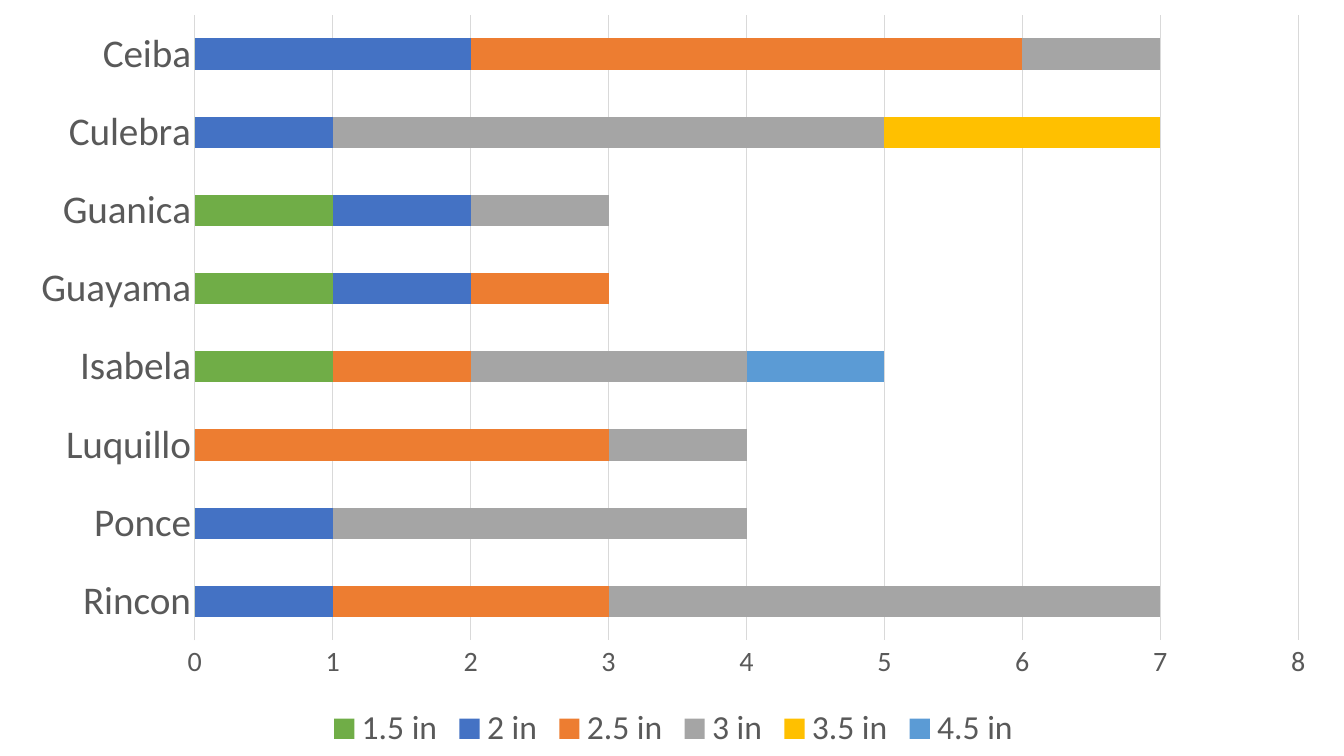
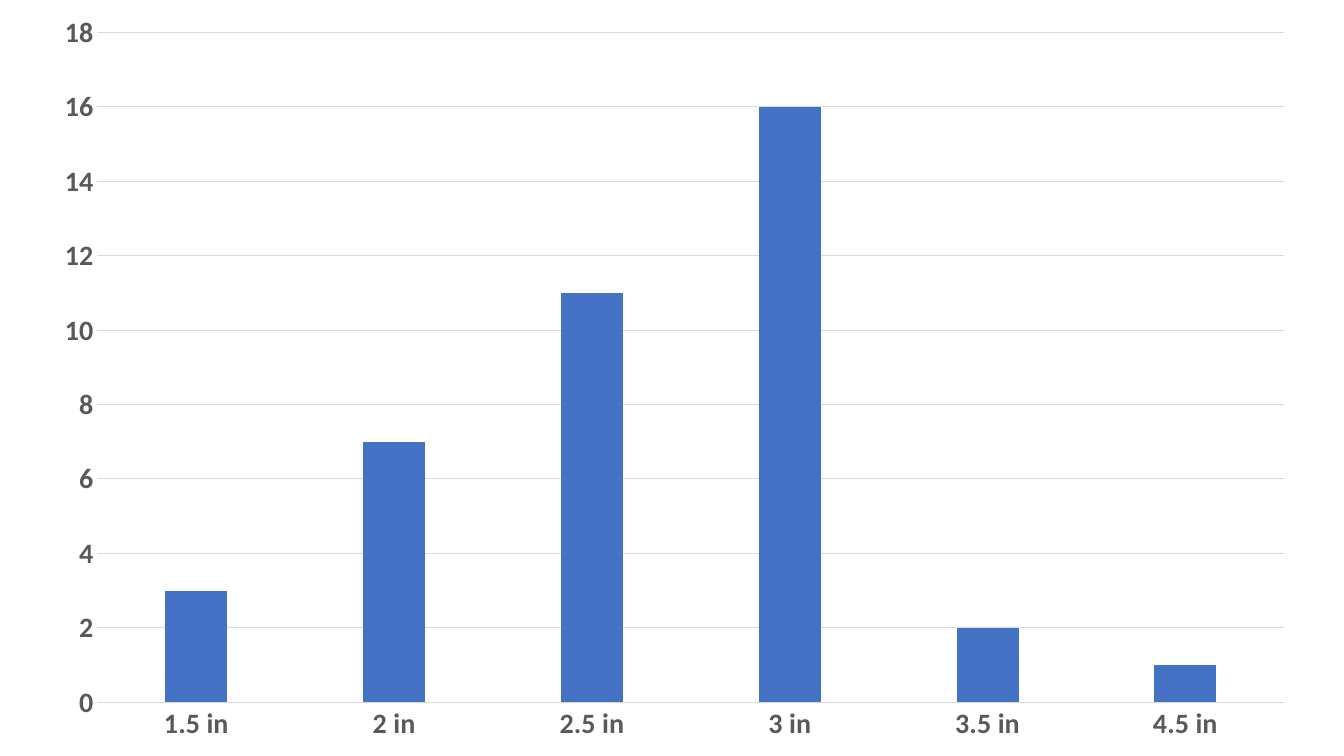
from pptx import Presentation
from pptx.chart.data import CategoryChartData
from pptx.dml.color import RGBColor
from pptx.enum import chart as ch
from pptx.util import Inches, Pt

FONT = "Calibri"
BLACK = RGBColor(0x00, 0x00, 0x00)
TEXT = RGBColor(0x59, 0x59, 0x59)
RULE = RGBColor(0xD9, 0xD9, 0xD9)
GREEN = RGBColor(0x70, 0xAD, 0x47)
BLUE = RGBColor(0x44, 0x72, 0xC4)
ORANGE = RGBColor(0xED, 0x7D, 0x31)
GRAY = RGBColor(0xA5, 0xA5, 0xA5)
YELLOW = RGBColor(0xFF, 0xC0, 0x00)
SKY = RGBColor(0x5B, 0x9B, 0xD5)

TOWNS = ["Rincon", "Ponce", "Luquillo", "Isabela", "Guayama", "Guanica", "Culebra", "Ceiba"]
SIZES = {
    "1.5 in": ([0, 0, 0, 1, 1, 1, 0, 0], GREEN),
    "2 in": ([1, 1, 0, 0, 1, 1, 1, 2], BLUE),
    "2.5 in": ([2, 0, 3, 1, 1, 0, 0, 4], ORANGE),
    "3 in": ([4, 3, 1, 2, 0, 1, 4, 1], GRAY),
    "3.5 in": ([0, 0, 0, 0, 0, 0, 2, 0], YELLOW),
    "4.5 in": ([0, 0, 0, 1, 0, 0, 0, 0], SKY),
}


def set_font(font, size, color=TEXT, bold=False):
    """Apply the shared typeface with a size, colour and weight."""
    font.name, font.size, font.bold = FONT, Pt(size), bold
    font.color.rgb = color


def style_line(line):
    """Draw a thin light rule."""
    line.color.rgb = RULE
    line.width = Pt(0.75)


def style_axis(axis, size, bold):
    """Remove tick marks and set the label font of an axis."""
    axis.major_tick_mark = axis.minor_tick_mark = ch.XL_TICK_MARK.NONE
    set_font(axis.tick_labels.font, size, bold=bold)


def add_bars(prs, box, kind, cats, series, gap, overlap, cat_size, bold=False):
    """Add a slide holding one bar chart in the given box and return the chart."""
    s = prs.slides.add_slide(prs.slide_layouts[6])
    data = CategoryChartData(number_format="General")
    data.categories = cats
    for name, values, _ in series:
        data.add_series(name, values)
    chart = s.shapes.add_chart(kind, *map(Inches, box), data).chart
    chart.has_title = chart.has_legend = False
    set_font(chart.font, 10, BLACK)

    style_axis(chart.category_axis, cat_size, bold)
    style_line(chart.category_axis.format.line)
    style_axis(chart.value_axis, 20, bold)
    chart.value_axis.format.line.fill.background()
    chart.value_axis.has_major_gridlines = True
    style_line(chart.value_axis.major_gridlines.format.line)

    plot = chart.plots[0]
    plot.gap_width, plot.overlap, plot.vary_by_categories = gap, overlap, False
    for bars, (_, _, color) in zip(plot.series, series):
        bars.format.fill.solid()
        bars.format.fill.fore_color.rgb = color
        bars.invert_if_negative = False
    return chart


def add_town_slide(prs, box):
    """Stack the size counts of each town, with a legend below."""
    series = [(name, values, color) for name, (values, color) in SIZES.items()]
    chart = add_bars(prs, box, ch.XL_CHART_TYPE.BAR_STACKED, TOWNS, series, 150, 100, 28)
    chart.has_legend = True
    chart.legend.position = ch.XL_LEGEND_POSITION.BOTTOM
    chart.legend.include_in_layout = False
    set_font(chart.legend.font, 24)


def add_total_slide(prs, box):
    """Show the total count of each size over all towns."""
    totals = [sum(values) for values, _ in SIZES.values()]
    add_bars(prs, box, ch.XL_CHART_TYPE.COLUMN_CLUSTERED, list(SIZES),
             [("Series 1", totals, BLUE)], 219, -27, 20, bold=True)


def main():
    """Build and save both slides."""
    prs = Presentation()
    prs.slide_width, prs.slide_height = Inches(13.33), Inches(7.5)
    add_town_slide(prs, (0.15, 0, 13.06, 7.5))
    add_total_slide(prs, (0.39, 0, 12.6, 7.5))
    prs.save("out.pptx")


if __name__ == "__main__":
    main()
